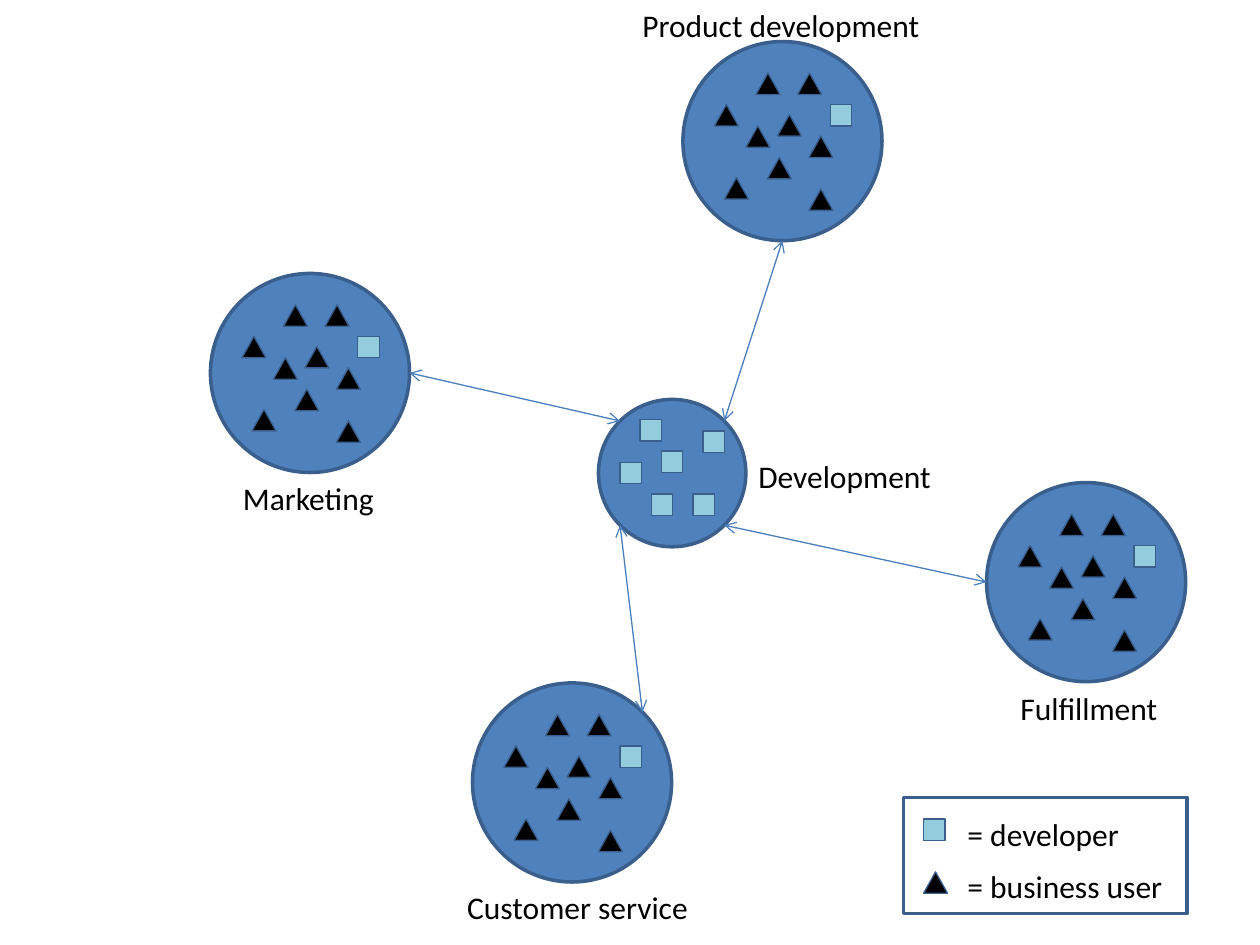
from math import cos, radians, sin

from lxml import etree
from pptx import Presentation
from pptx.dml.color import RGBColor
from pptx.enum.shapes import MSO_CONNECTOR, MSO_SHAPE
from pptx.enum.text import MSO_AUTO_SIZE
from pptx.oxml.ns import qn
from pptx.util import Inches, Pt

OVAL = MSO_SHAPE.OVAL
RECT = MSO_SHAPE.RECTANGLE
TRIANGLE = MSO_SHAPE.ISOSCELES_TRIANGLE
STRAIGHT = MSO_CONNECTOR.STRAIGHT
FIT_SHAPE = MSO_AUTO_SIZE.SHAPE_TO_FIT_TEXT

TEAM_SIZE = 1.58
HUB = (4.75, 3.17, 1.17)

# name, circle left and top, label left, top and width,
# arrow angles on the hub and on the team (degrees clockwise from the right)
TEAMS = [
    ("Marketing", 1.67, 2.17, (1.83, 3.75, 1.25), 225, 0),
    ("Product development", 5.42, 0.33, (5, 0, 2.43), 315, 90),
    ("Fulfillment", 7.83, 3.83, (8, 5.42, 1.3), 45, 180),
    ("Customer service", 3.75, 5.42, (3.61, 7, 1.97), 135, 315),
]

# Offsets from the top left of a team's circle
USERS = [(0.91, 0.25), (0.58, 0.25), (0.25, 0.5), (0.75, 0.58), (0.5, 0.67),
         (1, 0.75), (0.67, 0.92), (1, 1.17), (0.33, 1.08)]
TEAM_DEVELOPER = (1.17, 0.5)

HUB_DEVELOPERS = [(5.08, 3.33), (5.58, 3.42), (5.17, 3.92),
                  (5.5, 3.92), (5.25, 3.58), (4.92, 3.67)]


def rgb(value):
    return RGBColor.from_string(value)


def rim(left, top, size, angle):
    """Return the point on a circle's edge at the given angle."""
    r = size / 2
    a = radians(angle)
    return left + r + r * cos(a), top + r + r * sin(a)


class Diagram:
    FONT = "Calibri"
    TEXT_SIZE = 18
    TEXT = "000000"
    CIRCLE = "4F81BD"
    OUTLINE = "3A5F8C"
    ARROW = "4B7EBC"
    USER = "000000"
    DEVELOPER = "93CDDD"

    def __init__(self, slide):
        self.slide = slide

    def shape(self, kind, left, top, width, height, fill, line_width):
        sp = self.slide.shapes.add_shape(
            kind, Inches(left), Inches(top), Inches(width), Inches(height))
        sp.shadow.inherit = False
        if fill:
            sp.fill.solid()
            sp.fill.fore_color.rgb = rgb(fill)
        else:
            sp.fill.background()
        sp.line.color.rgb = rgb(self.OUTLINE)
        sp.line.width = Pt(line_width)

    def circle(self, left, top, size):
        self.shape(OVAL, left, top, size, size, self.CIRCLE, 2)

    def frame(self, left, top, width, height):
        self.shape(RECT, left, top, width, height, None, 2)

    def user(self, left, top):
        self.shape(TRIANGLE, left, top, 0.19, 0.17, self.USER, 0)

    def developer(self, left, top):
        self.shape(RECT, left, top, 0.17, 0.17, self.DEVELOPER, 0)

    def arrow(self, start, end):
        """Draw a line with an open arrowhead at both ends."""
        cxn = self.slide.shapes.add_connector(
            STRAIGHT, *(Inches(v) for v in (*start, *end)))
        cxn.line.color.rgb = rgb(self.ARROW)
        cxn.line.width = Pt(0.75)
        ln = cxn.line._get_or_add_ln()
        for tag in ("a:headEnd", "a:tailEnd"):
            etree.SubElement(ln, qn(tag), type="arrow")
        etree.SubElement(cxn._element.spPr, qn("a:effectLst"))

    def label(self, text, left, top, width):
        tb = self.slide.shapes.add_textbox(
            Inches(left), Inches(top), Inches(width), Inches(0.4))
        tf = tb.text_frame
        tf.word_wrap = False
        tf.auto_size = FIT_SHAPE
        p = tf.paragraphs[0]
        p.text = text
        p.font.name = self.FONT
        p.font.size = Pt(self.TEXT_SIZE)
        p.font.color.rgb = rgb(self.TEXT)


def main():
    prs = Presentation()
    prs.slide_width, prs.slide_height = Inches(10), Inches(7.5)
    d = Diagram(prs.slides.add_slide(prs.slide_layouts[6]))

    for _, left, top, *_ in TEAMS:
        d.circle(left, top, TEAM_SIZE)
    d.circle(*HUB)

    for name, left, top, label_box, hub_angle, team_angle in TEAMS:
        d.arrow(rim(*HUB, hub_angle), rim(left, top, TEAM_SIZE, team_angle))
        for dx, dy in USERS:
            d.user(left + dx, top + dy)
        dx, dy = TEAM_DEVELOPER
        d.developer(left + dx, top + dy)
        d.label(name, *label_box)

    for left, top in HUB_DEVELOPERS:
        d.developer(left, top)
    d.label("Development", 5.92, 3.58, 1.59)

    d.developer(7.33, 6.5)
    d.label("= developer", 7.58, 6.42, 1.42)
    d.user(7.33, 6.92)
    d.label("= business user", 7.58, 6.83, 1.77)
    d.frame(7.17, 6.33, 2.25, 0.92)

    prs.save("out.pptx")


if __name__ == "__main__":
    main()
